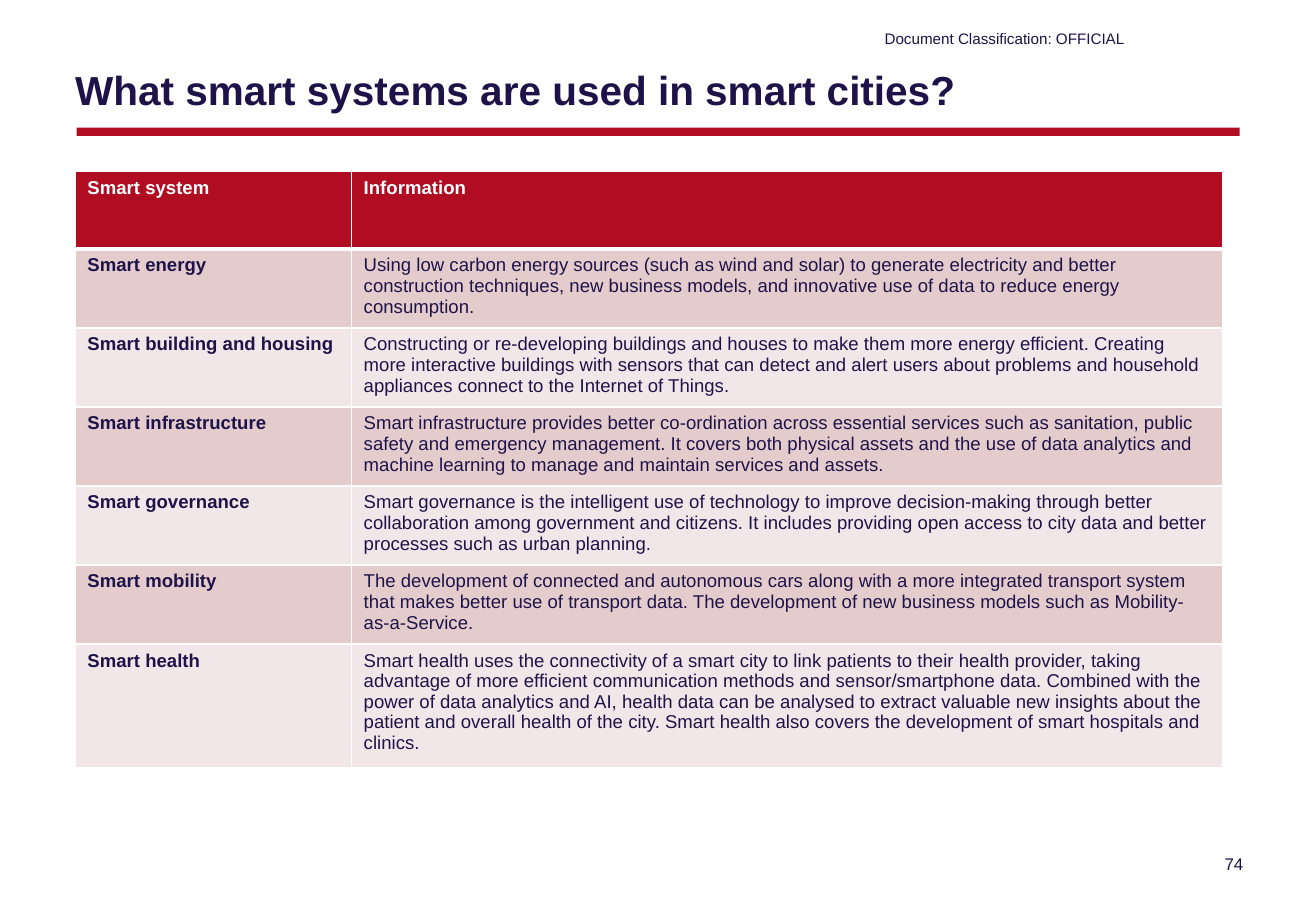
from lxml import etree
from pptx import Presentation
from pptx import util as u
from pptx.dml.color import RGBColor
from pptx.enum import shapes, text
from pptx.oxml.ns import qn

NAVY, RED, WHITE = "1E1348", "B00D23", "FFFFFF"
DARK_BAND, LIGHT_BAND = "E4CCCD", "F2E7E8"
LEFT = 5.72
ROW_HEIGHT, LAST_ROW_HEIGHT = 8.53, 12.7
COLUMN_WIDTHS = (21, 66.2)

SYSTEMS = [
    ("Smart system", "Information"),
    ("Smart energy",
     "Using low carbon energy sources (such as wind and solar) to generate electricity and better "
     "construction techniques, new business models, and innovative use of data to reduce energy "
     "consumption."),
    ("Smart building and housing",
     "Constructing or re-developing buildings and houses to make them more energy efficient. Creating "
     "more interactive buildings with sensors that can detect and alert users about problems and "
     "household appliances connect to the Internet of Things."),
    ("Smart infrastructure",
     "Smart infrastructure provides better co-ordination across essential services such as sanitation, "
     "public safety and emergency management. It covers both physical assets and the use of data "
     "analytics and machine learning to manage and maintain services and assets."),
    ("Smart governance",
     "Smart governance is the intelligent use of technology to improve decision-making through better "
     "collaboration among government and citizens. It includes providing open access to city data and "
     "better processes such as urban planning."),
    ("Smart mobility",
     "The development of connected and autonomous cars along with a more integrated transport system\n"
     "that makes better use of transport data. The development of new business models such as "
     "Mobility-as-a-Service."),
    ("Smart health",
     "Smart health uses the connectivity of a smart city to link patients to their health provider, "
     "taking advantage of more efficient communication methods and sensor/smartphone data. Combined "
     "with the power of data analytics and AI, health data can be analysed to extract valuable new "
     "insights about the patient and overall health of the city. Smart health also covers the "
     "development of smart hospitals and clinics."),
]


def colour(hex_string):
    return RGBColor.from_string(hex_string)


def paint(target, hex_string):
    target.fill.solid()
    target.fill.fore_color.rgb = colour(hex_string)


class Page:
    """One slide; every position and size is a percentage of the slide."""

    def __init__(self, deck, font="Arial"):
        self.deck = deck
        self.font = font
        self.shapes = deck.slides.add_slide(deck.slide_layouts[6]).shapes

    def across(self, share):
        return u.Emu(round(self.deck.slide_width * share / 100))

    def down(self, share):
        return u.Emu(round(self.deck.slide_height * share / 100))

    def area(self, left, top, width, height):
        return self.across(left), self.down(top), self.across(width), self.down(height)

    def set_words(self, frame, words, size, hue=NAVY, bold=False, align=None):
        frame.text = words
        for para in frame.paragraphs:
            para.alignment = align
            for span in para.runs:
                span.font.name, span.font.size, span.font.bold = self.font, u.Pt(size), bold
                span.font.color.rgb = colour(hue)

    def bar(self, area, hue):
        bar = self.shapes.add_shape(shapes.MSO_SHAPE.RECTANGLE, *self.area(*area))
        bar.shadow.inherit = False
        bar.line.fill.background()
        paint(bar, hue)

    def label(self, area, words, size, margins=(0.1, 0.05), middle=False, **style):
        frame = self.shapes.add_textbox(*self.area(*area)).text_frame
        frame.word_wrap = True
        frame.margin_left = frame.margin_right = u.Inches(margins[0])
        frame.margin_top = frame.margin_bottom = u.Inches(margins[1])
        frame.vertical_anchor = text.MSO_ANCHOR.MIDDLE if middle else text.MSO_ANCHOR.TOP
        self.set_words(frame, words, size, **style)

    def border(self, cell, bottom_width):
        """White lines round a cell, placed before its fill as the schema asks."""
        edges = {"a:lnL": 1, "a:lnR": 1, "a:lnT": 1, "a:lnB": bottom_width}
        properties = cell._tc.get_or_add_tcPr()
        for place, (tag, width) in enumerate(edges.items()):
            line = etree.Element(qn(tag), w=str(u.Pt(width)))
            fill = etree.SubElement(line, qn("a:solidFill"))
            etree.SubElement(fill, qn("a:srgbClr"), val=WHITE)
            properties.insert(place, line)

    def table(self, left, top, widths, heights, rows, size):
        area = self.area(left, top, sum(widths), sum(heights))
        table = self.shapes.add_table(len(rows), len(widths), *area).table
        for column, width in zip(table.columns, widths):
            column.width = self.across(width)
        for index, (row, height) in enumerate(zip(table.rows, heights)):
            row.height = self.down(height)
            header = index == 0
            band = RED if header else DARK_BAND if index % 2 else LIGHT_BAND
            for position, cell in enumerate(row.cells):
                self.set_words(cell.text_frame, rows[index][position], size,
                               hue=WHITE if header else NAVY, bold=header or position == 0)
                paint(cell, band)
                self.border(cell, 3 if header else 1)


def main():
    deck = Presentation()
    deck.slide_width, deck.slide_height = u.Inches(10.83), u.Inches(7.5)
    page = Page(deck)
    page.bar((5.82, 14, 88.37, 0.93), RED)
    page.label((67.22, 3.2, 18.56, 2.13), "Document Classification: OFFICIAL", 9,
               margins=(0, 0), middle=True)
    page.label((90.67, 93.07, 4.71, 3.2), "74", 10, align=text.PP_ALIGN.RIGHT)
    page.label((LEFT, 5.07, 89.1, 9.47), "What smart systems are used in smart cities?", 24,
               margins=(0, 0.05), middle=True, bold=True)
    heights = [ROW_HEIGHT] * (len(SYSTEMS) - 1) + [LAST_ROW_HEIGHT]
    page.table(LEFT, 18.8, COLUMN_WIDTHS, heights, SYSTEMS, 11)
    deck.save("out.pptx")


if __name__ == "__main__":
    main()
